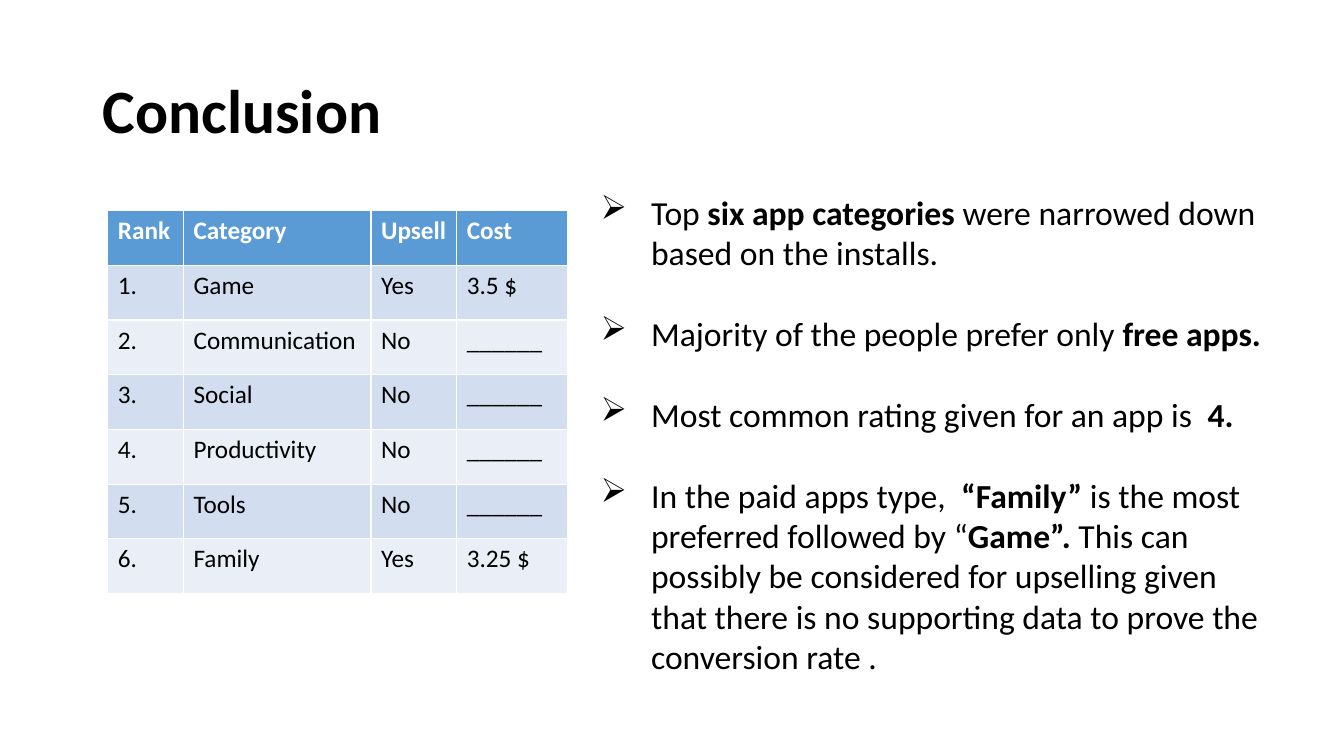
from lxml import etree
from pptx import Presentation
from pptx.dml.color import RGBColor
from pptx.enum.text import MSO_ANCHOR, PP_ALIGN
from pptx.oxml.ns import qn
from pptx.util import Inches, Pt

MIDDLE = MSO_ANCHOR.MIDDLE
LEFT = PP_ALIGN.LEFT
BLACK = RGBColor(0x00, 0x00, 0x00)
WHITE = RGBColor(0xFF, 0xFF, 0xFF)
HEADER_BLUE = RGBColor(0x5B, 0x9B, 0xD5)
BAND_COLORS = (RGBColor(0xD2, 0xDE, 0xEF), RGBColor(0xEA, 0xEF, 0xF7))
FONT = "Calibri"
TITLE_ONLY = 5

NO_COST = "______"
RANKING = [
    ("Rank", "Category", "Upsell", "Cost"),
    ("1.", "Game", "Yes", "3.5 $"),
    ("2.", "Communication", "No", NO_COST),
    ("3.", "Social", "No", NO_COST),
    ("4.", "Productivity", "No", NO_COST),
    ("5.", "Tools", "No", NO_COST),
    ("6.", "Family", "Yes", "3.25 $"),
]
COLUMN_WIDTHS = (0.75, 1.86, 0.85, 1.1)

# Each finding is a list of (words, bold) pairs.
FINDINGS = [
    [("Top ", False), ("six app categories ", True),
     ("were narrowed down based on the installs.", False)],
    [("Majority of the people prefer only ", False), ("free apps.", True)],
    [("Most common rating given for an app is  ", False), ("4.", True)],
    [("In the paid apps type,  ", False), ("“Family” ", True),
     ("is the most preferred followed by “", False), ("Game”. ", True),
     ("This can possibly be considered for upselling given that there is no "
      "supporting data to prove the conversion rate .", False)],
]


def set_font(paragraph, size, color, bold=None):
    font = paragraph.font
    font.name, font.size, font.bold = FONT, Pt(size), bold
    font.color.rgb = color


def set_bullet(paragraph, symbol, indent):
    """Hang the paragraph's text behind a bullet symbol."""
    properties = paragraph._p.get_or_add_pPr()
    properties.set("marL", str(indent))
    properties.set("indent", str(-indent))
    bullet = etree.Element(qn("a:buChar"), char=symbol)
    properties.find(qn("a:defRPr")).addprevious(bullet)


def add_title(slide, left, top, width, height):
    title = slide.shapes.title
    title.left, title.top, title.width, title.height = left, top, width, height
    frame = title.text_frame
    frame.text = "Conclusion"
    frame.vertical_anchor = MIDDLE
    heading = frame.paragraphs[0]
    heading.alignment = LEFT
    heading.line_spacing = 0.9
    set_font(heading, 44, BLACK, True)


def add_ranking(slide, left, top, width, height):
    ranking = slide.shapes.add_table(
        len(RANKING), len(COLUMN_WIDTHS), left, top, width, height).table
    for column, column_width in zip(ranking.columns, COLUMN_WIDTHS):
        column.width = Inches(column_width)
    for r, entries in enumerate(RANKING):
        is_header = r == 0
        for c, entry in enumerate(entries):
            cell = ranking.cell(r, c)
            cell.text = entry
            cell.fill.solid()
            cell.fill.fore_color.rgb = (
                HEADER_BLUE if is_header else BAND_COLORS[(r - 1) % 2])
            set_font(cell.text_frame.paragraphs[0], 18,
                     WHITE if is_header else BLACK, is_header)


def add_findings(slide, left, top, width, height):
    frame = slide.shapes.add_textbox(left, top, width, height).text_frame
    frame.word_wrap = True
    for i, finding in enumerate(FINDINGS):
        paragraph = frame.paragraphs[0] if i == 0 else frame.add_paragraph()
        if i > 0:
            paragraph.space_before = Pt(29)
        set_font(paragraph, 24, BLACK)
        set_bullet(paragraph, "➢", Inches(0.5))
        for words, bold in finding:
            run = paragraph.add_run()
            run.text = words
            run.font.bold = bold


def main():
    deck = Presentation()
    deck.slide_width, deck.slide_height = Inches(13.33), Inches(7.5)
    slide = deck.slides.add_slide(deck.slide_layouts[TITLE_ONLY])
    add_title(slide, Inches(0.92), Inches(0.4), Inches(11.5), Inches(1.45))
    add_ranking(slide, Inches(1.07), Inches(2.09), Inches(4.56), Inches(3.8))
    add_findings(slide, Inches(5.86), Inches(1.85), Inches(6.93), Inches(4.95))
    deck.save("out.pptx")


if __name__ == "__main__":
    main()
